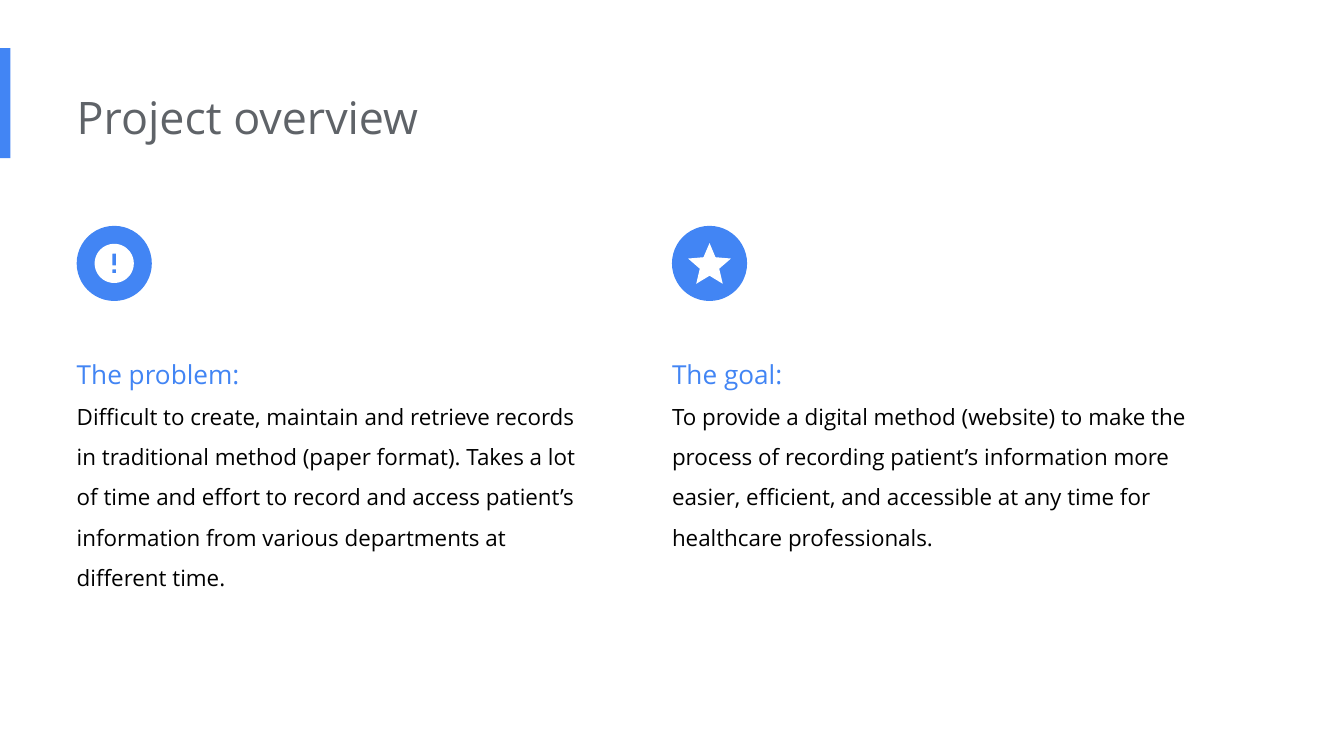
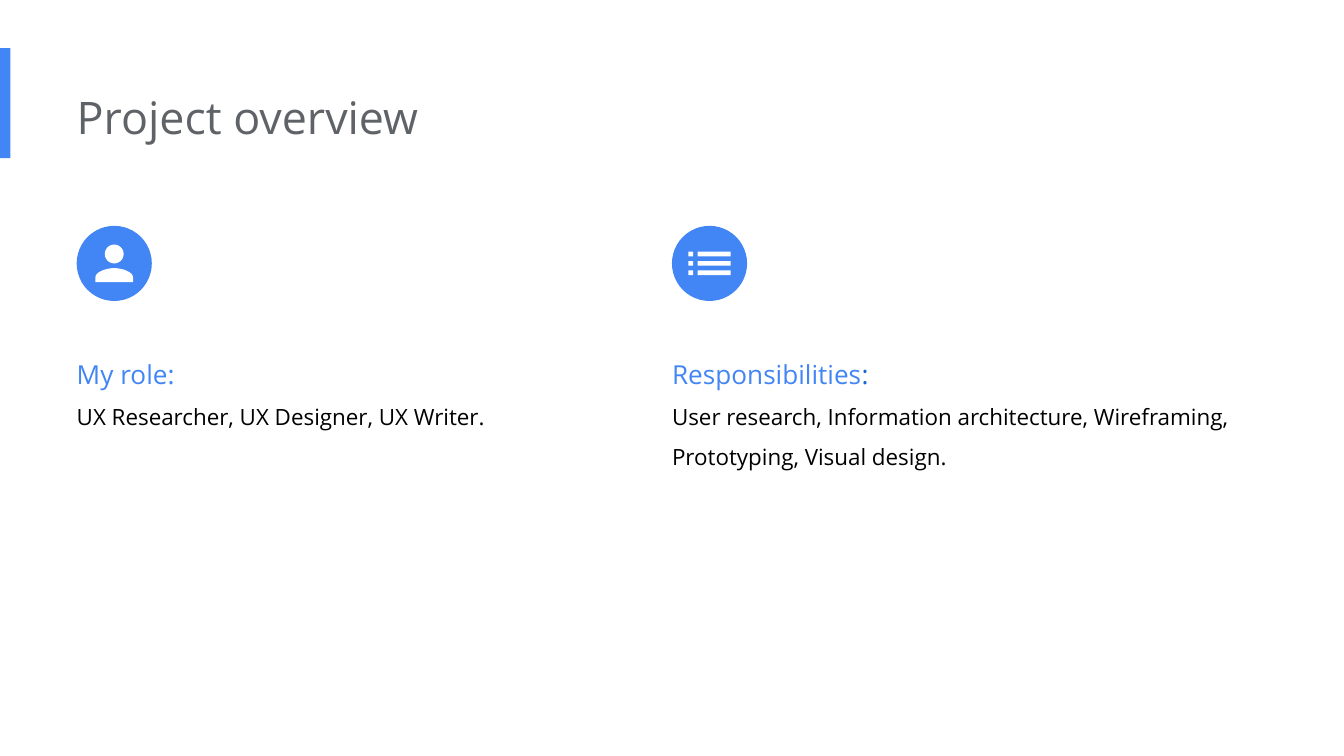
from dataclasses import dataclass
from math import cos, pi, sin

from pptx import Presentation
from pptx.dml.color import RGBColor
from pptx.enum.shapes import MSO_SHAPE as Preset
from pptx.enum.text import MSO_ANCHOR as Anchor
from pptx.enum.text import MSO_AUTO_SIZE as AutoSize
from pptx.enum.text import PP_ALIGN as Align
from pptx.oxml.xmlchemy import OxmlElement
from pptx.util import Cm, Pt


@dataclass(frozen=True)
class Theme:
    font: str = "Open Sans"
    blue: str = "4285F4"
    dark_blue: str = "1967D2"
    gray: str = "5F6368"
    black: str = "000000"
    white: str = "FFFFFF"
    title_size: int = 24
    heading_size: int = 14
    body_size: int = 12


# Layout, in centimetres
LEFT_COLUMN, RIGHT_COLUMN = 1.45, 12.7
BADGE_TOP, BADGE_SIZE = 4.27, 1.42
TEXT_TOP, TEXT_HEIGHT, LINE_HEIGHT = 6.22, 2.18, 0.77


# Icon outlines, each a list of closed contours on a 24-unit grid
def rectangle(left, top, right, bottom):
    return [(left, top), (right, top), (right, bottom), (left, bottom)]


def circle(x, y, radius, steps=72):
    angles = [2 * pi * step / steps for step in range(steps)]
    return [(x + radius * cos(angle), y + radius * sin(angle)) for angle in angles]


def curve(start, control_1, control_2, end, steps=16):
    points = []
    for step in range(steps + 1):
        t = step / steps
        weights = ((1 - t) ** 3, 3 * t * (1 - t) ** 2, 3 * t * t * (1 - t), t ** 3)
        points.append(tuple(
            sum(weight * value for weight, value in zip(weights, values))
            for values in zip(start, control_1, control_2, end)))
    return points


def mirror(points):
    return [(24 - x, y) for x, y in reversed(points)]


ALERT_ICON = [circle(12, 12, 10), rectangle(11, 7, 13, 13), rectangle(11, 15, 13, 17)]

STAR_HALF = [(12, 2), (14.81, 8.63), (22, 9.24), (16.54, 13.97), (18.18, 21), (12, 17.27)]
STAR_ICON = [STAR_HALF + mirror(STAR_HALF)[1:-1]]

SHOULDER = curve((12, 14), (14.67, 14), (20, 15.34), (20, 18)) + [(20, 20)]
PERSON_ICON = [circle(12, 8, 4), SHOULDER + mirror(SHOULDER)[:-1]]

LIST_ICON = [rectangle(left, top, right, top + 2)
             for left, right in ((3, 5), (7, 21)) for top in (7, 11, 15)]


class Deck:
    """Holds the theme, the presentation and the current slide."""

    def __init__(self, theme):
        self.theme = theme
        self.presentation = Presentation()
        self.presentation.slide_width = Cm(25.4)
        self.presentation.slide_height = Cm(14.29)
        self.layout = self.presentation.slide_layouts.get_by_name("Two Content")
        self.slide = None

    def add_slide(self, title):
        self.slide = self.presentation.slides.add_slide(self.layout)
        frame = self.place(0, 1.45, 1.45, 17.09, 1.55)
        self.fill_paragraph(frame.paragraphs[0], [(title, self.theme.gray)],
                            self.theme.title_size)

    def add_layout_band(self):
        """Moves the accent band into the layout, so that every slide shows it."""
        band = self.add_shape(Preset.RECTANGLE, 0, 0.91, 0.2, 2.08)
        self.layout.shapes.element.append(band.element)

    def place(self, index, left, top, width, height):
        shape = self.slide.placeholders[index]
        box = {"left": left, "top": top, "width": width, "height": height}
        for name, value in box.items():
            setattr(shape, name, Cm(value))
        frame = shape.text_frame
        settings = {"margin_left": 0, "margin_top": Cm(0.25), "margin_right": Cm(0.25),
                    "margin_bottom": Cm(0.25), "word_wrap": True,
                    "vertical_anchor": Anchor.TOP, "auto_size": AutoSize.NONE}
        for name, value in settings.items():
            setattr(frame, name, value)
        return frame

    def fill_paragraph(self, paragraph, runs, size, line_spacing=1.0):
        properties = paragraph._p.get_or_add_pPr()
        properties.set("marL", "0")
        properties.set("indent", "0")
        properties.append(OxmlElement("a:buNone"))
        settings = {"alignment": Align.LEFT, "line_spacing": line_spacing,
                    "space_before": Pt(0), "space_after": Pt(0)}
        for name, value in settings.items():
            setattr(paragraph, name, value)
        for text, color in runs:
            run = paragraph.add_run()
            run.text = text
            for name, value in {"name": self.theme.font, "size": Pt(size)}.items():
                setattr(run.font, name, value)
            run.font.color.rgb = RGBColor.from_string(color)

    def paint(self, shape, color):
        shape.shadow.inherit = False
        shape.fill.solid()
        shape.fill.fore_color.rgb = RGBColor.from_string(color)
        shape.line.fill.background()
        return shape

    def add_shape(self, preset, left, top, width, height):
        box = [Cm(value) for value in (left, top, width, height)]
        return self.paint(self.slide.shapes.add_shape(preset, *box), self.theme.blue)

    def add_icon(self, contours, center_x, center_y, width):
        """Scales the outline to the width and centres it on the point."""
        xs, ys = zip(*(point for contour in contours for point in contour))
        scale = width / (max(xs) - min(xs))
        middle_x, middle_y = (min(xs) + max(xs)) / 2, (min(ys) + max(ys)) / 2
        builder = None
        for contour in contours:
            points = [(Cm(center_x + (x - middle_x) * scale),
                       Cm(center_y + (y - middle_y) * scale)) for x, y in contour]
            if builder is None:
                builder = self.slide.shapes.build_freeform(*points[0])
            else:
                builder.move_to(*points[0])
            builder.add_line_segments(points[1:], close=True)
        self.paint(builder.convert_to_shape(), self.theme.white)

    def add_column(self, index, left, width, lines, icon, icon_width, heading, body,
                   colon_color=None):
        # Badge with its icon
        self.add_shape(Preset.OVAL, left, BADGE_TOP, BADGE_SIZE, BADGE_SIZE)
        self.add_icon(icon, left + BADGE_SIZE / 2, BADGE_TOP + BADGE_SIZE / 2, icon_width)

        # Heading and description
        theme = self.theme
        height = TEXT_HEIGHT + (lines - 1) * LINE_HEIGHT
        frame = self.place(index, left, TEXT_TOP, width, height)
        heading_runs = [(heading, theme.blue), (":", colon_color or theme.blue)]
        self.fill_paragraph(frame.paragraphs[0], heading_runs, theme.heading_size, 1.5)
        self.fill_paragraph(frame.add_paragraph(), [(body, theme.black)],
                            theme.body_size, 1.5)


def main():
    deck = Deck(Theme())

    # Problem and goal
    deck.add_slide("Project overview")
    deck.add_layout_band()
    deck.add_column(
        1, LEFT_COLUMN, 10.06, 5, ALERT_ICON, 0.74, "The problem",
        "Difficult to create, maintain and retrieve records in traditional method "
        "(paper format). Takes a lot of time and effort to record and access patient’s "
        "information from various departments at different time.")
    deck.add_column(
        2, RIGHT_COLUMN, 10.06, 4, STAR_ICON, 0.81, "The goal",
        "To provide a digital method (website) to make the process of recording patient’s "
        "information more easier, efficient, and accessible at any time for healthcare "
        "professionals.")

    # Role and responsibilities
    deck.add_slide("Project overview")
    deck.add_column(
        1, LEFT_COLUMN, 9.98, 1, PERSON_ICON, 0.71, "My role",
        "UX Researcher, UX Designer, UX Writer.")
    deck.add_column(
        2, RIGHT_COLUMN, 11.25, 2, LIST_ICON, 0.8, "Responsibilities",
        "User research, Information architecture, Wireframing, Prototyping, Visual design.",
        colon_color=deck.theme.dark_blue)

    deck.presentation.save("out.pptx")


if __name__ == "__main__":
    main()
